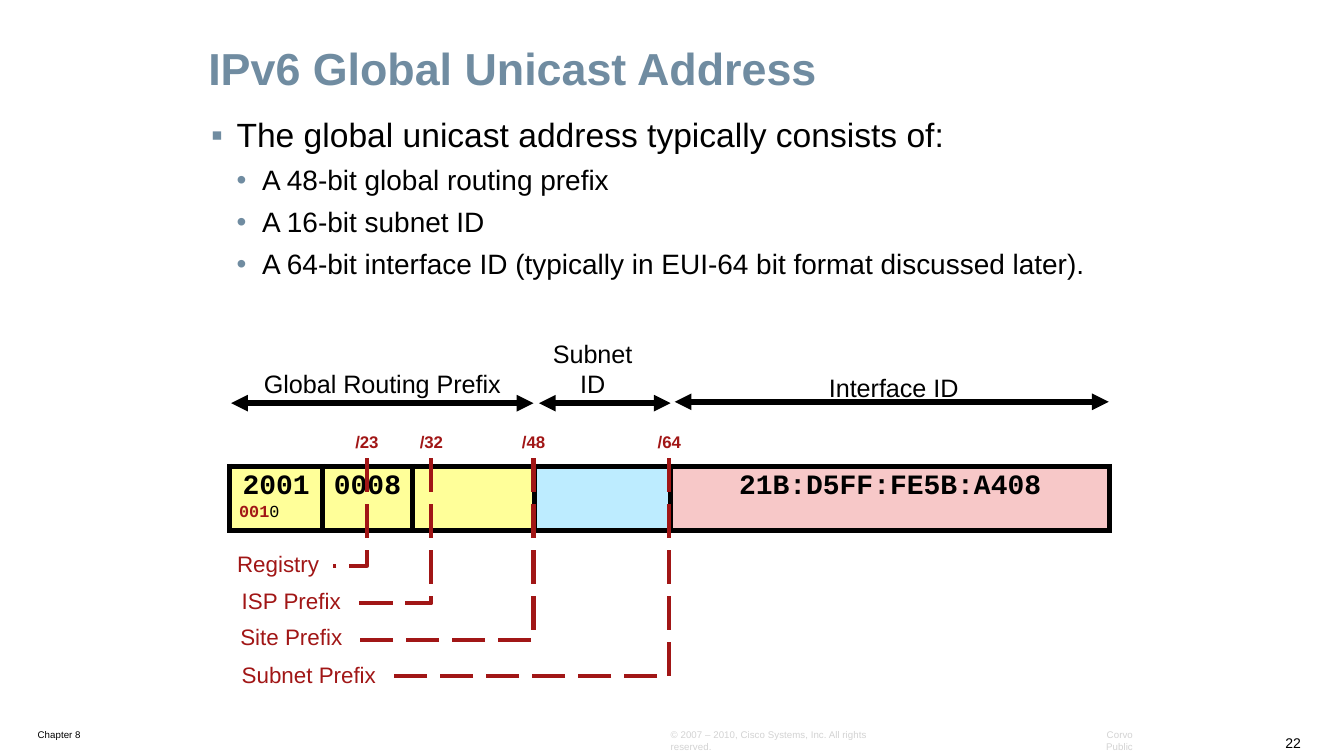
"""Build the slide on the parts of an IPv6 global unicast address."""
import pptx
import pptx.util
import pptx.dml.color
import pptx.enum.dml
import pptx.enum.shapes
import pptx.enum.text
import pptx.oxml
import pptx.oxml.ns

Inches, Pt = pptx.util.Inches, pptx.util.Pt
RGB = pptx.dml.color.RGBColor.from_string
ALIGN = pptx.enum.text.PP_ALIGN
ANCHOR = pptx.enum.text.MSO_ANCHOR
CONNECTOR = pptx.enum.shapes.MSO_CONNECTOR
NS = pptx.oxml.ns.nsdecls("a")

THEME = {
    "ink": "000000", "accent": "708CA1", "mark": "A11616", "faint": "D3D3D3",
    "prefix": "FFFF99", "subnet": "BDECFF", "interface": "F7C8C8",
    "title": 24, "list": 18, "sublist": 15, "part": 13.5, "level": 12,
    "digits": 15, "bits": 9, "page": 7.5, "footer": 5.25,
    "sans": "Arial", "mono": "Courier New",
}


def write(paragraph, words, size, color="ink", face="sans", bold=False, **layout):
    """Add a run with its font and set the paragraph's layout."""
    for name, value in layout.items():
        setattr(paragraph, name, value)
    run = paragraph.add_run()
    run.text = words
    look = {"name": THEME[face], "size": Pt(THEME[size]), "bold": bold}
    for name, value in look.items():
        setattr(run.font, name, value)
    run.font.color.rgb = RGB(THEME[color])


def prepare(frame, x_inset, y_inset, **settings):
    """Set the insets and other settings of a text frame or cell."""
    settings |= {"margin_left": Inches(x_inset), "margin_right": Inches(x_inset),
                 "margin_top": Inches(y_inset), "margin_bottom": Inches(y_inset)}
    for name, value in settings.items():
        setattr(frame, name, value)


deck = pptx.Presentation()
deck.slide_width, deck.slide_height = Inches(10), Inches(10 * 9 / 16)
slide = deck.slides.add_slide(deck.slide_layouts[1])
shapes = slide.shapes

title, points = slide.placeholders
for holder, top, height, inset in [(title, 0.3, 0.45, 0.07), (points, 0.81, 2.01, 0.09)]:
    holder.left, holder.top = Inches(1.48), Inches(top)
    holder.width, holder.height = Inches(6.99), Inches(height)
    prepare(holder.text_frame, inset, 0.04, word_wrap=True,
            auto_size=pptx.enum.text.MSO_AUTO_SIZE.NONE)
write(title.text_frame.paragraphs[0], "IPv6 Global Unicast Address", "title", "accent",
      bold=True, alignment=ALIGN.LEFT, line_spacing=0.9)

statements = [
    (0, "The global unicast address typically consists of:"),
    (1, "A 48-bit global routing prefix"),
    (1, "A 16-bit subnet ID"),
    (1, "A 64-bit interface ID (typically in EUI-64 bit format discussed later)."),
]
for index, (level, words) in enumerate(statements):
    frame = points.text_frame
    paragraph = frame.add_paragraph() if index else frame.paragraphs[0]
    properties = paragraph._p.get_or_add_pPr()
    properties.set("marL", str(Inches(0.19 * (level + 1))))
    properties.set("indent", str(Inches(-0.19)))
    for bullet in (f'<a:buClr {NS}><a:srgbClr val="{THEME["accent"]}"/></a:buClr>',
                   f'<a:buFont {NS} typeface="{THEME["sans"]}"/>',
                   f'<a:buChar {NS} char="{"▪•"[level]}"/>'):
        properties.append(pptx.oxml.parse_xml(bullet))
    write(paragraph, words, ("list", "sublist")[level], level=level,
          space_before=Pt(4.5 * level))

footers = [
    (0.21, 5.38, 1.05, 0.16, "Chapter 8", "footer", "ink", ALIGN.LEFT),
    (9.49, 5.43, 0.26, 0.19, "22", "page", "ink", ALIGN.RIGHT),
    (4.92, 5.47, 1.93, 0.16, "© 2007 – 2010, Cisco Systems, Inc. All rights reserved.",
     "footer", "faint", ALIGN.LEFT),
    (7.96, 5.47, 0.54, 0.16, "Corvo Public", "footer", "faint", ALIGN.RIGHT),
]
for left, top, width, height, words, size, color, side in footers:
    footer = shapes.add_textbox(Inches(left), Inches(top), Inches(width), Inches(height))
    prepare(footer.text_frame, 0.07, 0.03, word_wrap=True, vertical_anchor=ANCHOR.BOTTOM)
    write(footer.text_frame.paragraphs[0], words, size, color, alignment=side)

address = shapes.add_table(1, 5, Inches(1.71), Inches(3.47), Inches(6.55), Inches(0.48)).table
address.first_row = address.horz_banding = False
fields = [(0.69, "2001", "prefix"), (0.67, "0008", "prefix"), (0.91, "", "prefix"),
          (1.01, "", "subnet"), (3.27, "21B:D5FF:FE5B:A408", "interface")]
for index, (width, digits, fill) in enumerate(fields):
    address.columns[index].width = Inches(width)
    cell = address.cell(0, index)
    prepare(cell, 0.07, 0.04)
    for edge in "LRTB":
        cell._tc.get_or_add_tcPr().append(pptx.oxml.parse_xml(
            f'<a:ln{edge} {NS} w="{Pt(3)}"><a:solidFill><a:srgbClr val="{THEME["ink"]}"/>'
            f'</a:solidFill></a:ln{edge}>'))
    cell.fill.solid()
    cell.fill.fore_color.rgb = RGB(THEME[fill])
    if digits:
        write(cell.text_frame.paragraphs[0], digits, "digits", face="mono", bold=True,
              alignment=ALIGN.CENTER)
bits = address.cell(0, 0).text_frame.add_paragraph()
write(bits, "001", "bits", "mark", "mono", True)
write(bits, "0", "bits", face="mono")

labels = [
    (1.85, 2.69, 1.99, 0.33, ["Global Routing Prefix"], "part", "ink", False, ALIGN.CENTER, 1),
    (4.01, 2.47, 0.8, 0.56, ["Subnet", "ID"], "part", "ink", False, ALIGN.CENTER, 1),
    (6.06, 2.72, 1.18, 0.33, ["Interface ID"], "part", "ink", False, ALIGN.CENTER, 1),
]
spans = [(CONNECTOR.STRAIGHT, start, y, end, y)
         for start, end, y in [(1.72, 3.97, 3), (4.01, 4.99, 3), (5.02, 8.25, 2.99)]]

levels = [
    ("/23", 2.73, "Registry", 1.66, 0.82, 4.07, 4.21, ALIGN.CENTER),
    ("/32", 3.21, "ISP Prefix", 1.7, 0.95, 4.34, 4.49, ALIGN.LEFT),
    ("/48", 3.97, "Site Prefix", 1.69, 0.97, 4.61, 4.76, ALIGN.LEFT),
    ("/64", 4.98, "Subnet Prefix", 1.7, 1.21, 4.89, 5.03, ALIGN.LEFT),
]
for length, x, name, left, width, top, y, side in levels:
    labels += [
        (x - 0.19, 3.18, 0.38, 0.24, [length], "bits", "mark", True, ALIGN.CENTER, 0.9),
        (left, top, width, 0.28, [name], "level", "mark", False, side, 0.9),
    ]
    drop, reach = y - 3.41, x - left - width
    corner_left, corner_top = x - (reach + drop) / 2, 3.41 + (drop - reach) / 2
    spans.append((CONNECTOR.ELBOW, corner_left, corner_top,
                  corner_left + drop, corner_top + reach))

for kind, *ends in spans:
    span = shapes.add_connector(kind, *map(Inches, ends))
    properties = span._element.spPr
    straight = kind == CONNECTOR.STRAIGHT
    span.line.color.rgb = RGB(THEME["ink" if straight else "mark"])
    span.line.width = Pt(3 if straight else 2.25)
    if straight:
        for end in ("headEnd", "tailEnd"):
            span.line._ln.append(pptx.oxml.parse_xml(f'<a:{end} {NS} type="triangle"/>'))
    else:
        span.line.dash_style = pptx.enum.dml.MSO_LINE.LONG_DASH
        properties.xfrm.set("rot", "5400000")
        properties.find(pptx.oxml.ns.qn("a:prstGeom")).set("prst", "bentConnector2")
    properties.append(pptx.oxml.parse_xml(f"<a:effectLst {NS}/>"))

for left, top, width, height, lines, size, color, bold, side, spacing in labels:
    label = shapes.add_textbox(Inches(left), Inches(top), Inches(width), Inches(height))
    prepare(label.text_frame, 0.1, 0.05, word_wrap=False)
    for index, words in enumerate(lines):
        frame = label.text_frame
        paragraph = frame.add_paragraph() if index else frame.paragraphs[0]
        write(paragraph, words, size, color, bold=bold, alignment=side, line_spacing=spacing)

deck.save("out.pptx")
